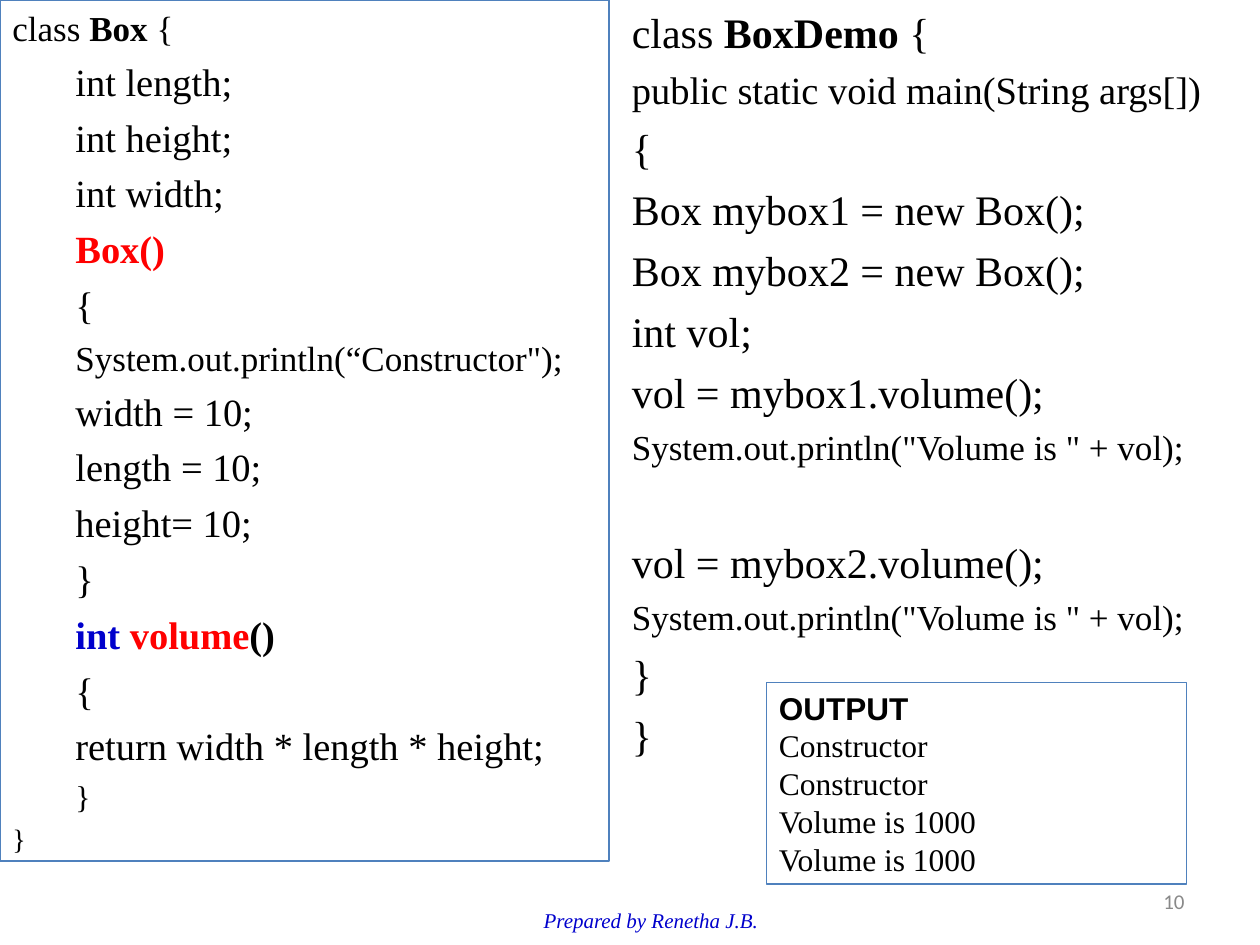
from pptx import Presentation
from pptx.dml.color import RGBColor
from pptx.enum.shapes import MSO_SHAPE
from pptx.enum.text import MSO_ANCHOR, PP_ALIGN
from pptx.util import Inches, Pt

BLACK = RGBColor(0x00, 0x00, 0x00)
RED = RGBColor(0xFF, 0x00, 0x00)
BLUE = RGBColor(0x00, 0x00, 0xCC)
GREY = RGBColor(0x89, 0x89, 0x89)
BORDER = RGBColor(0x4F, 0x81, 0xBD)

RECTANGLE = MSO_SHAPE.RECTANGLE
TOP, MIDDLE = MSO_ANCHOR.TOP, MSO_ANCHOR.MIDDLE
LEFT, CENTER, RIGHT = PP_ALIGN.LEFT, PP_ALIGN.CENTER, PP_ALIGN.RIGHT

SERIF, SANS, NUMBER_FONT = "Times New Roman", "Arial", "Calibri"
BLANK_LAYOUT = 6
COLUMNS, ROWS = 120, 90

# Code lines: level, size, then spans of (text, bold, colour)
BOX_CLASS = [
    (0, 20, [("class ", False, BLACK), ("Box", True, BLACK), (" {", False, BLACK)]),
    (1, 22, "int length;"),
    (1, 22, "int height;"),
    (1, 22, "int width;"),
    (1, 22, [("Box()", True, RED)]),
    (1, 22, "{"),
    (1, 20, "System.out.println(“Constructor\");"),
    (1, 22, "width = 10;"),
    (1, 22, "length = 10;"),
    (1, 22, "height= 10;"),
    (1, 22, "}"),
    (1, 22, [("int ", True, BLUE), ("volume", True, RED), ("()", True, BLACK)]),
    (1, 22, "{"),
    (1, 22, "return width * length * height;"),
    (1, 18, "}"),
    (0, 16, "}"),
]
DEMO_START = [
    (0, 24, [("class ", False, BLACK), ("BoxDemo", True, BLACK), (" {", False, BLACK)]),
    (0, 22, "public static void main(String args[])"),
    (0, 24, "{"),
    (0, 24, "Box mybox1 = new Box();"),
    (0, 24, "Box mybox2 = new Box();"),
    (0, 24, "int vol;"),
    (0, 24, "vol = mybox1.volume();"),
    (0, 20, "System.out.println(\"Volume is \" + vol);"),
]
DEMO_END = [
    (0, 24, "vol = mybox2.volume();"),
    (0, 20, "System.out.println(\"Volume is \" + vol);"),
    (0, 24, "}"),
    (0, 24, "}"),
]
OUTPUT = ["Constructor", "Constructor", "Volume is 1000", "Volume is 1000"]


class SlideBuilder:
    """Places elements on a grid of COLUMNS by ROWS."""

    # Left margin and hanging indent in inches, by level
    INDENTS = [(0.38, -0.38), (0.81, -0.31)]

    def __init__(self, deck):
        self.slide = deck.slides.add_slide(deck.slide_layouts[BLANK_LAYOUT])
        self.cell_width = deck.slide_width / COLUMNS
        self.cell_height = deck.slide_height / ROWS

    def box(self, column, row, columns, rows, bordered=False, anchor=TOP):
        place = (round(column * self.cell_width), round(row * self.cell_height),
                 round(columns * self.cell_width), round(rows * self.cell_height))
        if bordered:
            box = self.slide.shapes.add_shape(RECTANGLE, *place)
            box.shadow.inherit = False
            box.fill.background()
            box.line.color.rgb = BORDER
            box.line.width = Pt(0.75)
        else:
            box = self.slide.shapes.add_textbox(*place)
        frame = box.text_frame
        frame.word_wrap = True
        frame.vertical_anchor = anchor
        return frame

    def para(self, frame, text, size, font=SERIF, color=BLACK, align=LEFT,
             bold=False, italic=False):
        """Adds a paragraph; text is a string or a list of spans."""
        first = frame.paragraphs[0]
        para = frame.add_paragraph() if first.runs else first
        para.alignment = align
        para.font.name = font
        para.font.size = Pt(size)
        para.font.italic = italic
        if isinstance(text, str):
            para.add_run().text = text
            para.font.bold = bold
            para.font.color.rgb = color
            return para
        for words, span_bold, span_color in text:
            span = para.add_run()
            span.text = words
            span.font.bold = span_bold
            span.font.color.rgb = span_color
        return para

    def code(self, frame, lines, gap=0):
        """Adds code lines, each a quarter of its size below the last;
        gap is extra space in points above the first line."""
        for level, size, text in lines:
            is_first = not frame.paragraphs[0].runs
            para = self.para(frame, text, size)
            margin, indent = self.INDENTS[level]
            para.level = level
            properties = para._p.get_or_add_pPr()
            properties.set("marL", str(Inches(margin)))
            properties.set("indent", str(Inches(indent)))
            if not is_first:
                para.space_before = Pt(size / 4 + gap)
            gap = 0


def main():
    deck = Presentation()
    deck.slide_width, deck.slide_height = Inches(10), Inches(7.5)
    builder = SlideBuilder(deck)

    # Class on the left
    builder.code(builder.box(0, 0, 58, 82, bordered=True), BOX_CLASS)

    # Demo on the right, with a gap between its two halves
    demo = builder.box(59, 0, 61, 84)
    builder.code(demo, DEMO_START)
    builder.code(demo, DEMO_END, gap=33.5)

    # Footer and page number
    footer = builder.box(43, 85.2, 38, 4.8, anchor=MIDDLE)
    builder.para(footer, "Prepared by Renetha J.B.", 12, color=BLUE,
                 align=CENTER, italic=True)
    number = builder.box(86, 83.4, 28, 4.8, anchor=MIDDLE)
    builder.para(number, "10", 12, font=NUMBER_FONT, color=GREY, align=RIGHT)

    # Program output
    output = builder.box(73, 65, 40, 19.2, bordered=True)
    builder.para(output, "OUTPUT", 18, font=SANS, bold=True)
    for line in OUTPUT:
        builder.para(output, line, 18)

    deck.save("out.pptx")


if __name__ == "__main__":
    main()
